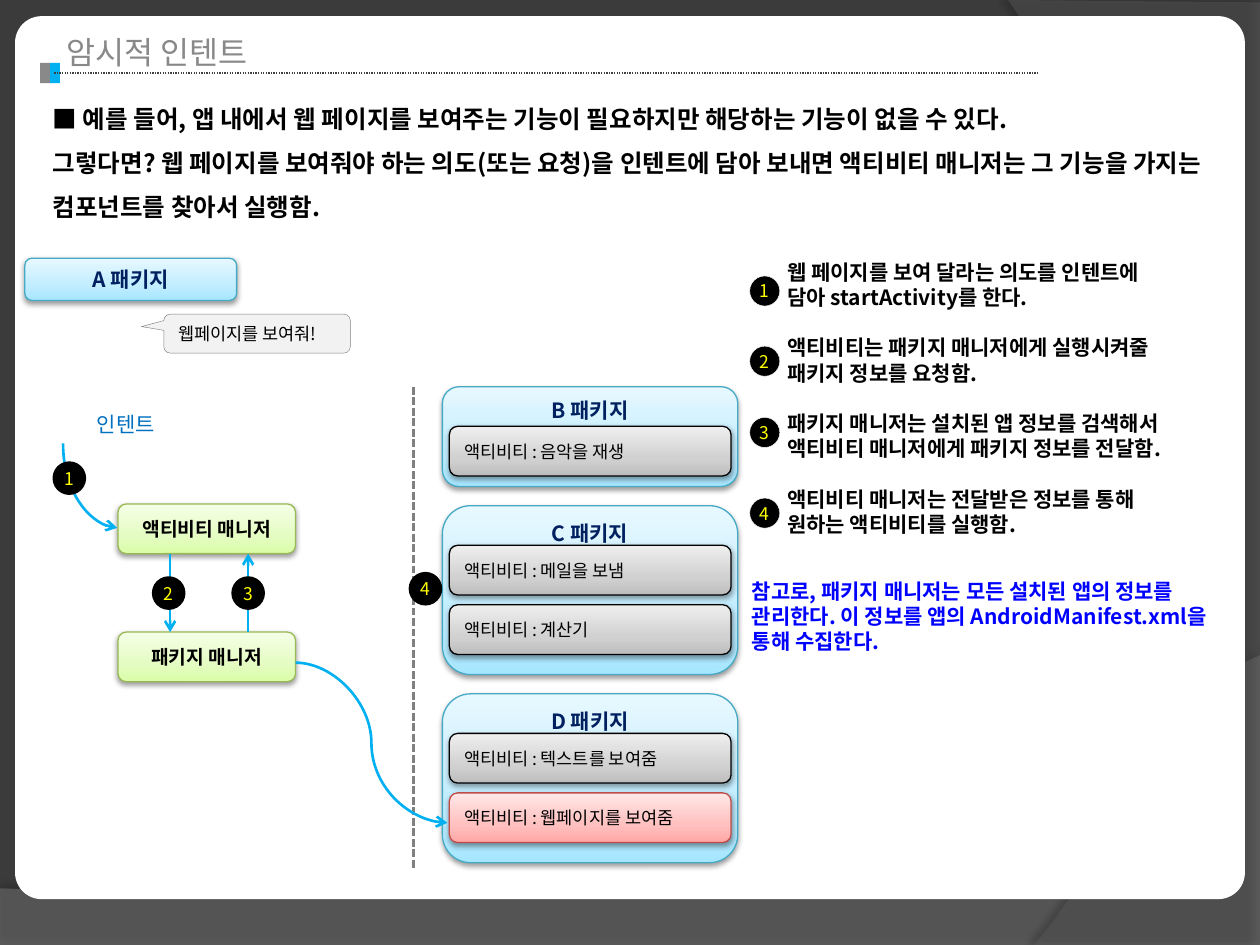
"""Build the slide that explains implicit intents between app packages."""
from copy import deepcopy
from dataclasses import dataclass

from lxml.etree import SubElement
from pptx import Presentation
from pptx.dml.color import RGBColor
from pptx.enum.dml import MSO_LINE as Dash
from pptx.enum.shapes import MSO_CONNECTOR as Link, MSO_SHAPE as Kind
from pptx.enum.text import MSO_ANCHOR as Anchor, MSO_AUTO_SIZE as AutoSize, PP_ALIGN as Align
from pptx.oxml.ns import qn
from pptx.util import Pt


@dataclass(frozen=True)
class Theme:
    latin: str = "Arial"
    korean: str = "Noto Sans CJK KR"
    backdrop: str = "3B3B3B"
    swoosh: str = "7F7F7F"
    ribbon: str = "5E5E5E"
    white: str = "FFFFFF"
    black: str = "000000"
    grey: str = "898989"
    rule: str = "404040"
    divider: str = "808080"
    bubble: str = "F2F2F2"
    accent: str = "00B0F0"
    navy: str = "002060"
    intent: str = "0070C0"
    note: str = "0000FF"
    number: str = "FFFF00"
    blue: tuple = ("A7E6FF", "C1EDFF", "E7F8FF")
    blue_line: str = "46AAC5"
    silver: tuple = ("BDBDBD", "D1D1D1", "EEEEEE")
    green: tuple = ("DAFDA7", "E4FCC2", "F5FFE7")
    green_line: str = "98B955"
    red: tuple = ("FFA6A5", "FFC0BF", "FFE7E7")
    red_line: str = "BF4C48"
    title: int = 18
    lead: int = 14
    body: int = 12
    manager: int = 11
    small: int = 10


theme = Theme()
soft_shadow = (38, 3.1, 1.6, 90)


def style(shape, fill, line=None, width=0.75, shadow=None, alpha=None):
    """Set the fill, outline and shadow of a shape."""
    properties = shape._element.spPr
    if isinstance(fill, tuple):
        shape.fill.gradient()
        shape.fill.gradient_angle = 90
        stops = properties.find(".//" + qn("a:gsLst"))
        stops.append(deepcopy(stops[-1]))
        for stop, color, position in zip(shape.fill.gradient_stops, fill, (0, 0.35, 1)):
            stop.color.rgb = RGBColor.from_string(color)
            stop.position = position
    else:
        shape.fill.solid()
        shape.fill.fore_color.rgb = RGBColor.from_string(fill)
        if alpha:
            color = properties.find(".//" + qn("a:srgbClr"))
            SubElement(color, qn("a:alpha"), val=str(alpha * 1000))
    if line:
        shape.line.color.rgb = RGBColor.from_string(line)
        shape.line.width = Pt(width)
    else:
        shape.line.fill.background()
    shape.shadow.inherit = False
    if shadow:
        opacity, blur, distance, angle = shadow
        outer = SubElement(properties.find(qn("a:effectLst")), qn("a:outerShdw"),
                           blurRad=str(Pt(blur)), dist=str(Pt(distance)),
                           dir=str(angle * 60000), rotWithShape="0")
        color = SubElement(outer, qn("a:srgbClr"), val=theme.black)
        SubElement(color, qn("a:alpha"), val=str(opacity * 1000))


def write(shape, text, size=theme.body, color=theme.black, bold=False, align=Align.LEFT,
          anchor=Anchor.TOP, font=theme.korean, leading=1.2, group=1, gap=0, inset=7.2):
    """Fill a shape with formatted paragraphs, one for each line of text."""
    frame = shape.text_frame
    frame.word_wrap = True
    frame.auto_size = AutoSize.NONE
    frame.vertical_anchor = anchor
    frame.margin_left = frame.margin_right = Pt(inset)
    frame.margin_top = frame.margin_bottom = Pt(inset / 2)
    for index, words in enumerate(text.split("\n")):
        para = frame.add_paragraph() if index else frame.paragraphs[0]
        para.alignment = align
        para.line_spacing = Pt(size * leading)
        para.space_before = Pt(gap if index and index % group == 0 else 0)
        span = para.add_run()
        span.text = words
        span.font.size = Pt(size)
        span.font.bold = bold
        span.font.color.rgb = RGBColor.from_string(color)
        span.font.name = font
        SubElement(span.font._element, qn("a:ea"), typeface=theme.korean)


deck = Presentation()
deck.slide_width, deck.slide_height = Pt(720), Pt(540)
page = deck.slides.add_slide(deck.slide_layouts[5])
page.background.fill.solid()
page.background.fill.fore_color.rgb = RGBColor.from_string(theme.backdrop)
shapes = page.shapes

swoosh = [(0, 507.6), (0, 540), (720, 540)], [(720, 374.4), (402.5, 524.9), (281.5, 517.7), (0, 507.6)]
ribbon = [(720, 1.4), (720, 540), (591, 540)], [(591, 540), (673, 445.7), (733, 216), (576, 0)]
for (corners, curve), color, alpha, shadow in (
        (swoosh, theme.swoosh, 45, (35, 4, 3.5, 270)),
        (ribbon, theme.ribbon, 40, (45, 4, 4, 180))):
    points = list(corners)
    for step in range(25):
        t = step / 24
        weights = (1 - t) ** 3, 3 * t * (1 - t) ** 2, 3 * t ** 2 * (1 - t), t ** 3
        points.append(tuple(sum(w * p[axis] for w, p in zip(weights, curve)) for axis in (0, 1)))
    outline = shapes.build_freeform(Pt(points[0][0]), Pt(points[0][1]), scale=1.0)
    outline.add_line_segments([(Pt(x), Pt(y)) for x, y in points[1:]], close=True)
    style(outline.convert_to_shape(), color, alpha=alpha, shadow=shadow)

sheet = shapes.add_shape(Kind.ROUNDED_RECTANGLE, Pt(8.6), Pt(9.2), Pt(702.8), Pt(504.6))
sheet.adjustments[0] = 0.03
style(sheet, theme.white)

title = shapes.title
title.left, title.top, title.width, title.height = Pt(31), Pt(15.1), Pt(561.6), Pt(28.8)
write(title, "암시적 인텐트", size=theme.title, color=theme.grey, font=theme.latin)
shapes._spTree.append(title._element)

for left, color in ((23, theme.grey), (28.6, theme.accent)):
    marker = shapes.add_shape(Kind.RECTANGLE, Pt(left), Pt(36), Pt(5.7), Pt(11.5))
    style(marker, color)

for top, height, name, activities in (
        (221, 57, "B 패키지", ["음악을 재생"]),
        (289, 96.5, "C 패키지", ["메일을 보냄", "계산기"]),
        (396.5, 96.5, "D 패키지", ["텍스트를 보여줌", "웹페이지를 보여줌"])):
    package = shapes.add_shape(Kind.ROUNDED_RECTANGLE, Pt(252.8), Pt(top), Pt(168.8), Pt(height))
    style(package, theme.blue, theme.blue_line, shadow=soft_shadow)
    write(package, name, color=theme.navy, bold=True, align=Align.CENTER)
    for row, activity in enumerate(activities):
        box = shapes.add_shape(Kind.ROUNDED_RECTANGLE, Pt(256.8), Pt(top + 22.6 + 34 * row),
                               Pt(161), Pt(28.4))
        chosen = activity == "웹페이지를 보여줌"
        style(box, theme.red if chosen else theme.silver,
              theme.red_line if chosen else theme.black, shadow=soft_shadow)
        write(box, f"액티비티 : {activity}", size=theme.small, anchor=Anchor.MIDDLE)

for left, top, width, height, name, fill, line, size, color in (
        (14.2, 147.6, 121, 24.1, "A 패키지", theme.blue, theme.blue_line, theme.body, theme.navy),
        (67.4, 288, 101.5, 28.4, "액티비티 매니저", theme.green, theme.green_line, theme.manager, theme.black),
        (67.4, 361.2, 101.5, 28.4, "패키지 매니저", theme.green, theme.green_line, theme.manager, theme.black)):
    box = shapes.add_shape(Kind.ROUNDED_RECTANGLE, Pt(left), Pt(top), Pt(width), Pt(height))
    style(box, fill, line, shadow=soft_shadow)
    write(box, name, size=size, color=color, bold=True, align=Align.CENTER, anchor=Anchor.MIDDLE)

callout = shapes.add_shape(Kind.ROUNDED_RECTANGULAR_CALLOUT, Pt(93.6), Pt(179.5), Pt(106.6), Pt(22.3))
callout.adjustments[0], callout.adjustments[1] = -0.62, -0.18
style(callout, theme.bubble, theme.divider, 0.25)
write(callout, "웹페이지를 보여줘!", size=theme.small, anchor=Anchor.MIDDLE)

for kind, x1, y1, x2, y2, color, width, dash, preset in (
        (Link.STRAIGHT, 31, 41.8, 592.6, 41.8, theme.rule, 0.75, Dash.ROUND_DOT, None),
        (Link.STRAIGHT, 236.2, 221, 236.2, 496.8, theme.divider, 1.5, Dash.SQUARE_DOT, None),
        (Link.CURVE, 75.6, 262.1, 27.4, 293, theme.accent, 1.5, None, "curvedConnector2"),
        (Link.CURVE, 168.9, 378.7, 255.6, 470.2, theme.accent, 1.5, None, None),
        (Link.STRAIGHT, 97.2, 316.4, 97.2, 361.2, theme.accent, 1.5, None, None),
        (Link.STRAIGHT, 141.8, 361.2, 141.8, 316.4, theme.accent, 1.5, None, None)):
    link = shapes.add_connector(kind, Pt(x1), Pt(y1), Pt(x2), Pt(y2))
    link.line.color.rgb = RGBColor.from_string(color)
    link.line.width = Pt(width)
    properties = link._element.spPr
    if dash:
        link.line.dash_style = dash
    else:
        SubElement(properties.find(qn("a:ln")), qn("a:tailEnd"), type="arrow")
    if preset:
        properties.find(qn("a:prstGeom")).set("prst", preset)
        properties.find(qn("a:xfrm")).set("rot", str(270 * 60000))
    SubElement(properties, qn("a:effectLst"))

flow_badges = [(31, 264.6), (87.8, 330.3), (133.2, 330.3), (234.5, 327.8)]
step_badges = [(428.4, top) for top in (157.7, 197.8, 238.5, 284.6)]
for places, line, width in ((flow_badges, theme.black, 2), (step_badges, theme.white, 0.25)):
    for number, (left, top) in enumerate(places, 1):
        badge = shapes.add_shape(Kind.ROUNDED_RECTANGLE, Pt(left), Pt(top), Pt(17.2), Pt(17.2))
        badge.adjustments[0] = 0.5
        style(badge, theme.black, line, width)
        write(badge, str(number), size=theme.small, color=theme.number,
              align=Align.CENTER, anchor=Anchor.MIDDLE, inset=0)

intro = """■ 예를 들어, 앱 내에서 웹 페이지를 보여주는 기능이 필요하지만 해당하는 기능이 없을 수 있다.
그렇다면? 웹 페이지를 보여줘야 하는 의도(또는 요청)을 인텐트에 담아 보내면 액티비티 매니저는 그 기능을 가지는 컴포넌트를 찾아서 실행함."""
steps = """웹 페이지를 보여 달라는 의도를 인텐트에
담아 startActivity를 한다.
액티비티는 패키지 매니저에게 실행시켜줄
패키지 정보를 요청함.
패키지 매니저는 설치된 앱 정보를 검색해서
액티비티 매니저에게 패키지 정보를 전달함.
액티비티 매니저는 전달받은 정보를 통해
원하는 액티비티를 실행함."""
note = "참고로, 패키지 매니저는 모든 설치된 앱의 정보를 관리한다. 이 정보를 앱의 AndroidManifest.xml을 통해 수집한다."
for left, top, width, height, text, looks in (
        (48.2, 231.8, 60, 21.6, "인텐트", dict(color=theme.intent)),
        (23, 47.5, 674.6, 83.5, intro, dict(size=theme.lead, bold=True, leading=1.8)),
        (442.8, 144.7, 272.9, 165.6, steps, dict(bold=True, group=2, gap=14.4)),
        (422.6, 326.9, 290.2, 50.4, note, dict(color=theme.note, bold=True))):
    box = shapes.add_textbox(Pt(left), Pt(top), Pt(width), Pt(height))
    write(box, text, **looks)

deck.save("out.pptx")
